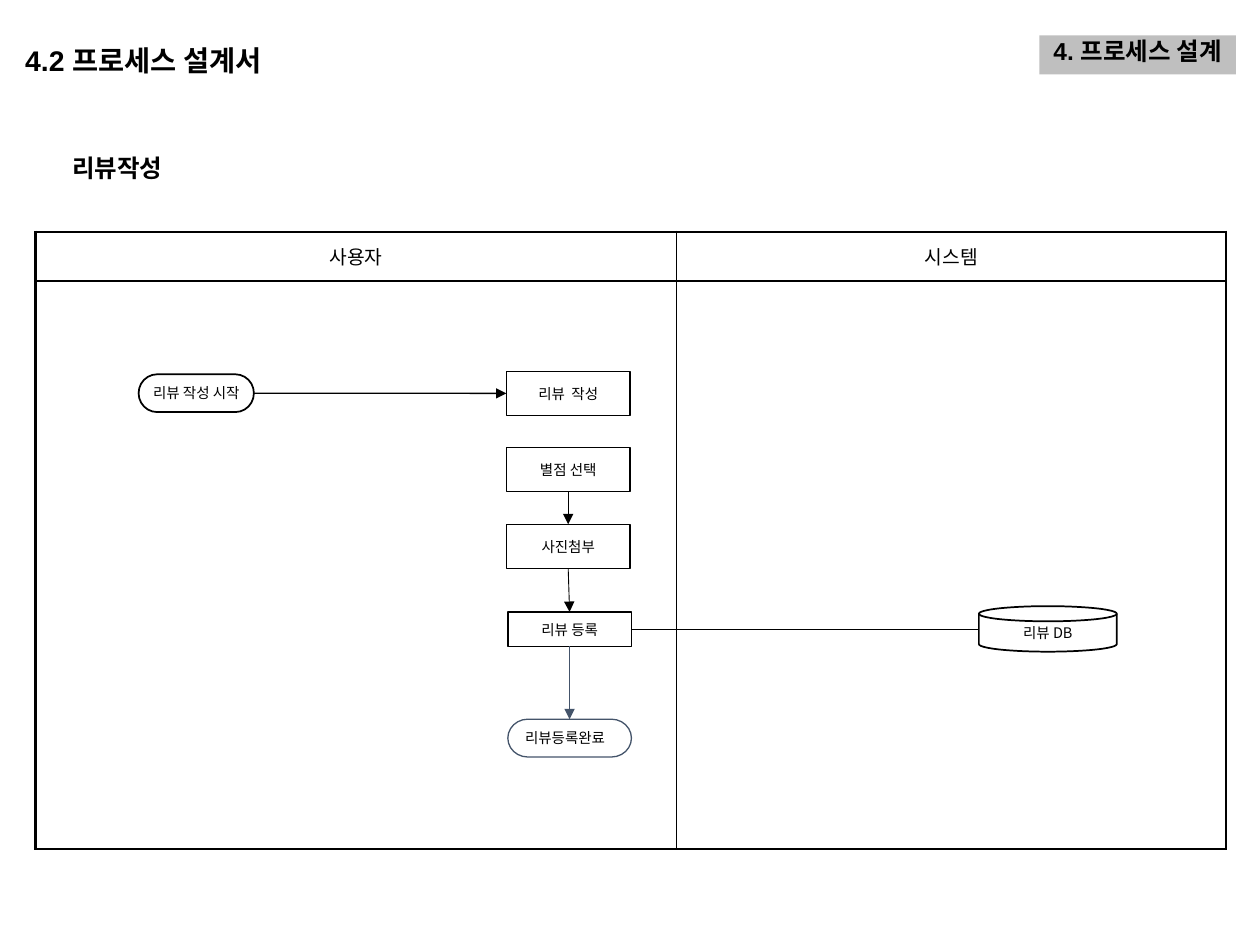
"""Build the review-writing process slide with a two-lane flow chart."""
from lxml import etree
from pptx import Presentation
from pptx import util as u
from pptx.dml.color import RGBColor
from pptx.enum import shapes, text
from pptx.oxml.ns import qn

BLACK = RGBColor(0, 0, 0)
WHITE = RGBColor(0xFF, 0xFF, 0xFF)
GRAY = RGBColor(0xBF, 0xBF, 0xBF)
SLATE = RGBColor(0x44, 0x54, 0x6A)
KOREAN, LATIN = "Noto Sans CJK KR", "Arial"
KIND = shapes.MSO_SHAPE
ALIGN = text.PP_ALIGN
ANCHOR = text.MSO_ANCHOR
TOP, LEFT, BOTTOM, RIGHT = range(4)

SECTION = "4.2 프로세스 설계서"
CHAPTER = "4. 프로세스 설계"
PROCESS = "리뷰작성"
LANES = [("사용자", 366.5), ("시스템", 313.9)]
ROW_HEIGHTS = [28.1, 324.7]
TIGHT, DISK, LOOSE = (1.4, 0), (2.9, 0), (6.5, 6.5)
STEPS = {
    "start": ("리뷰 작성 시작", KIND.FLOWCHART_TERMINATOR, (79.2, 213.9, 65.9, 21.6), BLACK, 1, TIGHT, ALIGN.CENTER),
    "write": ("리뷰  작성", KIND.RECTANGLE, (289.4, 212.2, 70.6, 25.2), BLACK, 0.75, LOOSE, ALIGN.CENTER),
    "rating": ("별점 선택", KIND.RECTANGLE, (289.4, 255.6, 70.6, 25.2), BLACK, 0.75, LOOSE, ALIGN.CENTER),
    "photo": ("사진첨부", KIND.RECTANGLE, (289.4, 299.6, 70.6, 25.2), BLACK, 0.75, LOOSE, ALIGN.CENTER),
    "register": ("리뷰 등록", KIND.RECTANGLE, (290.2, 349.7, 70.6, 19.7), BLACK, 1, TIGHT, ALIGN.CENTER),
    "done": ("리뷰등록완료", KIND.FLOWCHART_TERMINATOR, (290.2, 411, 70.6, 21.6), SLATE, 0.75, LOOSE, ALIGN.LEFT),
    "database": ("리뷰 DB", KIND.FLOWCHART_MAGNETIC_DISK, (559.4, 346.4, 78.8, 26), BLACK, 1, DISK, ALIGN.CENTER),
}
FLOWS = [
    ("start", RIGHT, "write", LEFT, BLACK, 0.75),
    ("rating", BOTTOM, "photo", TOP, BLACK, 0.5),
    ("photo", BOTTOM, "register", TOP, BLACK, 0.5),
    ("register", BOTTOM, "done", TOP, SLATE, 0.75),
]


def points(*values):
    return [u.Pt(value) for value in values]


def write(frame, wording, size, font=KOREAN, bold=False, align=ALIGN.CENTER,
          anchor=ANCHOR.MIDDLE, insets=(7.2, 3.6), spacing=None):
    frame.word_wrap = True
    frame.vertical_anchor = anchor
    frame.margin_left = frame.margin_right = u.Pt(insets[0])
    frame.margin_top = frame.margin_bottom = u.Pt(insets[1])
    paragraph = frame.paragraphs[0]
    paragraph.alignment = align
    paragraph.space_before = u.Pt(0)
    if spacing:
        paragraph.line_spacing = spacing
    run = paragraph.add_run()
    run.text = wording
    run.font.size, run.font.bold, run.font.name = u.Pt(size), bold, font
    run.font.color.rgb = BLACK
    etree.SubElement(run.font._element, qn("a:ea"), typeface=KOREAN)


def add_block(slide, kind, place, fill, line=None, width=0):
    block = slide.shapes.add_shape(kind, *points(*place))
    block.shadow.inherit = False
    block.fill.solid()
    block.fill.fore_color.rgb = fill
    if line is None:
        block.line.fill.background()
    else:
        block.line.color.rgb = line
        block.line.width = u.Pt(width)
    return block


def add_line(slide, color, width, arrow):
    line = slide.shapes.add_connector(shapes.MSO_CONNECTOR.STRAIGHT, 0, 0, 0, 0)
    line.line.color.rgb = color
    line.line.width = u.Pt(width)
    if arrow:
        etree.SubElement(line.line._get_or_add_ln(), qn("a:tailEnd"), type="triangle")
    etree.SubElement(line._element.spPr, qn("a:effectLst"))
    return line


def add_border(cell, side, width):
    edge = etree.SubElement(cell._tc.get_or_add_tcPr(), qn(f"a:ln{side}"), w=str(u.Pt(width)))
    fill = etree.SubElement(edge, qn("a:solidFill"))
    etree.SubElement(fill, qn("a:srgbClr"), val=str(BLACK))


def add_lanes(slide):
    place = points(20.2, 132.5, sum(width for _, width in LANES), sum(ROW_HEIGHTS))
    table = slide.shapes.add_table(len(ROW_HEIGHTS), len(LANES), *place).table
    table.first_row = table.horz_banding = False
    for row, height in zip(table.rows, ROW_HEIGHTS):
        row.height = u.Pt(height)
    for c, (lane, width) in enumerate(LANES):
        table.columns[c].width = u.Pt(width)
        write(table.cell(0, c).text_frame, lane, 11)
        for r in range(len(ROW_HEIGHTS)):
            cell = table.cell(r, c)
            cell.vertical_anchor = ANCHOR.MIDDLE
            outer = {"L": c == 0, "R": c == len(LANES) - 1,
                     "T": r == 0, "B": r == len(ROW_HEIGHTS) - 1}
            for side, is_outer in outer.items():
                add_border(cell, side, 1.5 if is_outer else 0.75)
            cell.fill.solid()
            cell.fill.fore_color.rgb = WHITE


def add_flow(slide):
    steps = {}
    for key, (label, kind, place, color, width, insets, align) in STEPS.items():
        steps[key] = add_block(slide, kind, place, WHITE, color, width)
        write(steps[key].text_frame, label, 8.3, align=align, insets=insets)
    for source, exit_side, target, entry_side, color, width in FLOWS:
        arrow = add_line(slide, color, width, True)
        arrow.begin_connect(steps[source], exit_side)
        arrow.end_connect(steps[target], entry_side)
    storage = add_line(slide, BLACK, 0.5, False)
    storage.begin_connect(steps["register"], RIGHT)
    storage.end_x, storage.end_y = steps["database"].left, storage.begin_y


def main():
    deck = Presentation()
    deck.slide_width, deck.slide_height = points(720, 540)
    slide = deck.slides.add_slide(deck.slide_layouts[5])
    title = slide.shapes.title
    title.left, title.top, title.width, title.height = points(7.2, 7.9, 170.6, 49)
    write(title.text_frame, SECTION, 16.2, LATIN, True, ALIGN.LEFT, spacing=1.2)
    add_lanes(slide)
    add_flow(slide)
    process = slide.shapes.add_textbox(*points(9.4, 80.6, 115.2, 30.2))
    write(process.text_frame, PROCESS, 14, bold=True)
    chapter = add_block(slide, KIND.RECTANGLE, (594, 20.2, 112.3, 22.3), GRAY)
    write(chapter.text_frame, CHAPTER, 14, LATIN, True,
          anchor=ANCHOR.TOP, insets=(0, 3.6), spacing=0.8)
    deck.save("out.pptx")


if __name__ == "__main__":
    main()
